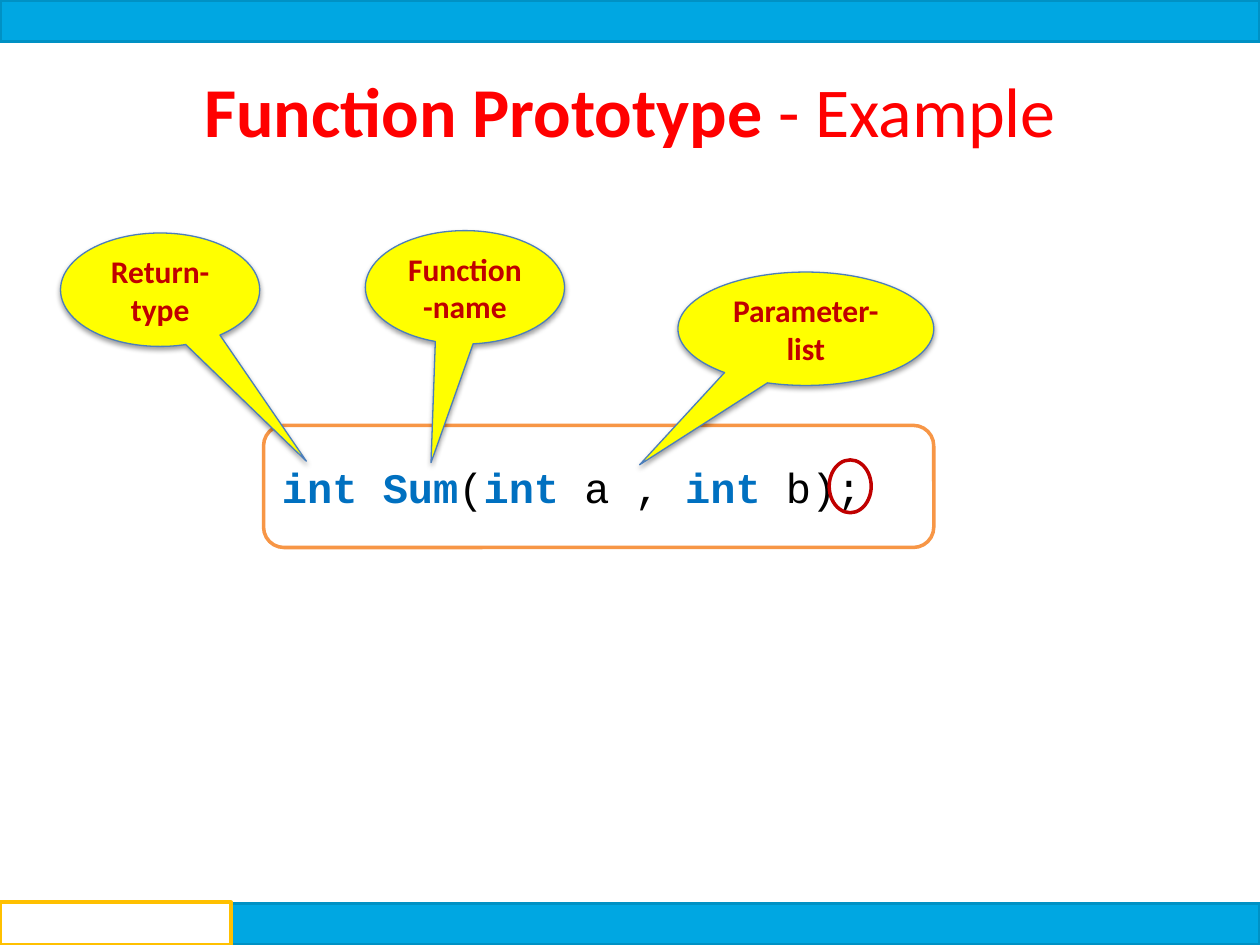
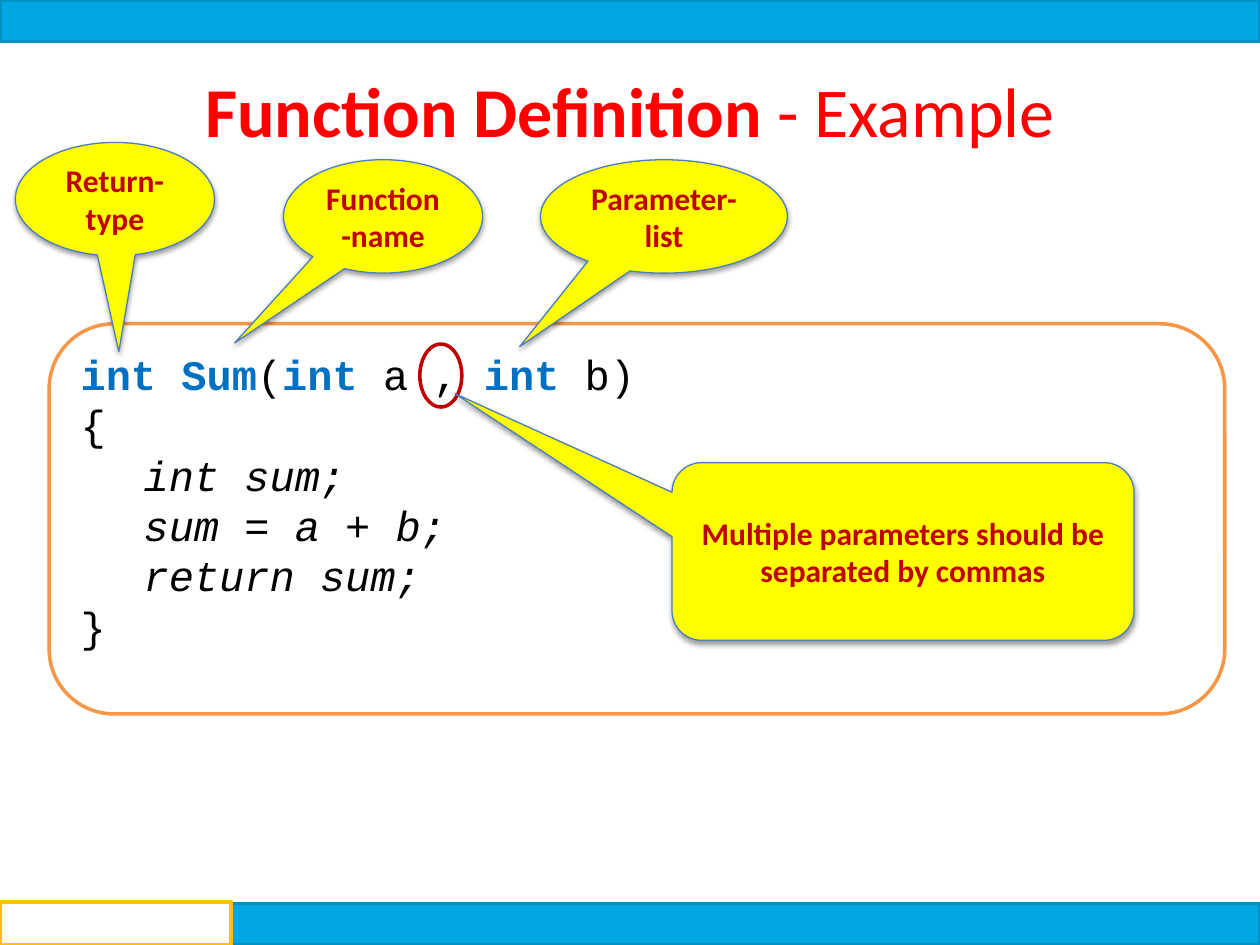
import pptx
import pptx.dml.color
import pptx.enum.shapes
import pptx.enum.text
import pptx.oxml
import pptx.oxml.ns
import pptx.util

Pt = pptx.util.Pt
RGBColor = pptx.dml.color.RGBColor
SHAPE = pptx.enum.shapes.MSO_SHAPE
ALIGN = pptx.enum.text.PP_ALIGN
ANCHOR = pptx.enum.text.MSO_ANCHOR

WHITE = RGBColor(0xFF, 0xFF, 0xFF)
BLACK = RGBColor(0x00, 0x00, 0x00)
RED = RGBColor(0xFF, 0x00, 0x00)
DARK_RED = RGBColor(0xC0, 0x00, 0x00)
YELLOW = RGBColor(0xFF, 0xFF, 0x00)
GOLD = RGBColor(0xFF, 0xC0, 0x00)
ORANGE = RGBColor(0xF7, 0x96, 0x46)
BAND_BLUE = RGBColor(0x00, 0xA7, 0xE2)
BAND_EDGE = RGBColor(0x00, 0x91, 0xC4)
CALLOUT_EDGE = RGBColor(0x4B, 0x7E, 0xBC)
KEYWORD_BLUE = RGBColor(0x00, 0x70, 0xC0)

PAGE_WIDTH, PAGE_HEIGHT = 720, 540
BAND_HEIGHT = 23.8
TITLE_BOX = (60, 35.3, 600, 55.4)
TEXT_FONT, CODE_FONT = "Calibri", "Courier New"
OVAL, ROUNDED = SHAPE.OVAL_CALLOUT, SHAPE.ROUNDED_RECTANGULAR_CALLOUT

# Code styles: (colour, bold, italic)
KEYWORD = (KEYWORD_BLUE, True, False)
PLAIN = (BLACK, False, False)
BODY = (BLACK, False, True)


def signature(ending):
    return [("int Sum", KEYWORD), ("(", PLAIN), ("int", KEYWORD),
            (" a , ", PLAIN), ("int", KEYWORD), (ending, PLAIN)]


# Boxes are (left, top, width, height); each callout ends with the point of its tail.
SLIDES = [
    {
        "title": "Function Prototype",
        "code_box": (150.6, 243.1, 383, 69.8),
        "code_bottom_inset": 3.6,
        "code": [signature(" b);")],
        "ring": (473.8, 262.8, 24, 30.2),
        "callouts": [
            (OVAL, "Return-type", (34.6, 133.2, 113.8, 64.8), (175.1, 263.6)),
            (OVAL, "Function-name", (208.8, 131.8, 113.8, 64.8), (246.3, 264.4)),
            (OVAL, "Parameter-list", (387.4, 155.5, 146.2, 64.8), (365.5, 265.6)),
        ],
    },
    {
        "title": "Function Definition",
        "code_box": (28.1, 185, 671.8, 223),
        "code_bottom_inset": 25.6,
        "code": [
            signature(" b)"),
            [("{", PLAIN)],
            [("\tint sum;", BODY)],
            [("\tsum = a + b;", BODY)],
            [("\treturn sum;", BODY)],
            [("}", PLAIN)],
        ],
        "ring": (239.9, 196.6, 24, 36),
        "callouts": [
            (OVAL, "Return-type", (8.8, 81.4, 113.8, 64.8), (67.9, 201)),
            (OVAL, "Function-name", (162, 91.3, 113.8, 64.8), (134.1, 196)),
            (OVAL, "Parameter-list", (308.9, 91.3, 141.1, 64.8), (297, 198.1)),
            (ROUNDED, "Multiple parameters should be separated by commas",
             (384, 264.4, 264, 101.5), (260, 225)),
        ],
    },
]


def add_span(para, text, font_name, size, color, bold, italic=False):
    span = para.add_run()
    span.text = text
    font = span.font
    font.name, font.size = font_name, Pt(size)
    font.bold, font.italic = bold, italic
    font.color.rgb = color


def add_figure(page, kind, box, fill, line, line_width):
    figure = page.shapes.add_shape(kind, *map(Pt, box))
    figure.shadow.inherit = False
    if fill is None:
        figure.fill.background()
    else:
        figure.fill.solid()
        figure.fill.fore_color.rgb = fill
    figure.line.color.rgb = line
    figure.line.width = Pt(line_width)
    return figure


def add_soft_shadow(figure):
    effects = figure._element.spPr.find(pptx.oxml.ns.qn("a:effectLst"))
    effects.append(pptx.oxml.parse_xml(
        f'<a:outerShdw {pptx.oxml.ns.nsdecls("a")} blurRad="{Pt(3.1)}" dist="{Pt(1.6)}" '
        'dir="5400000" rotWithShape="0"><a:srgbClr val="000000">'
        '<a:alpha val="38000"/></a:srgbClr></a:outerShdw>'))


def add_frame(page, title):
    """Add the bands, the footer box and the title that every slide has."""
    bottom = PAGE_HEIGHT - BAND_HEIGHT
    for top in (0, bottom):
        add_figure(page, SHAPE.RECTANGLE, (0, top, PAGE_WIDTH, BAND_HEIGHT),
                   BAND_BLUE, BAND_EDGE, 2)
    add_figure(page, SHAPE.RECTANGLE, (0, bottom - 0.6, 132, BAND_HEIGHT + 0.6),
               WHITE, GOLD, 2.25)
    frame = page.shapes.add_textbox(*map(Pt, TITLE_BOX)).text_frame
    frame.word_wrap = True
    para = frame.paragraphs[0]
    para.alignment = ALIGN.CENTER
    add_span(para, title, TEXT_FONT, 40, RED, True)
    add_span(para, " - Example", TEXT_FONT, 40, RED, False)


def add_code(page, box, lines, bottom_inset):
    frame = add_figure(page, SHAPE.ROUNDED_RECTANGLE, box, None, ORANGE, 2).text_frame
    frame.word_wrap = True
    frame.vertical_anchor = ANCHOR.MIDDLE
    frame.margin_bottom = Pt(bottom_inset)
    for index, line in enumerate(lines):
        para = frame.add_paragraph() if index else frame.paragraphs[0]
        para.alignment = ALIGN.LEFT
        for text, style in line:
            add_span(para, text, CODE_FONT, 24, *style)


def add_callout(page, kind, label, box, tip):
    callout = add_figure(page, kind, box, YELLOW, CALLOUT_EDGE, 0.75)
    add_soft_shadow(callout)
    left, top, width, height = box
    callout.adjustments[0] = (tip[0] - left) / width - 0.5
    callout.adjustments[1] = (tip[1] - top) / height - 0.5
    frame = callout.text_frame
    frame.word_wrap = True
    frame.vertical_anchor = ANCHOR.MIDDLE
    para = frame.paragraphs[0]
    para.alignment = ALIGN.CENTER
    add_span(para, label, TEXT_FONT, 18, DARK_RED, True)


def main():
    deck = pptx.Presentation()
    deck.slide_width, deck.slide_height = Pt(PAGE_WIDTH), Pt(PAGE_HEIGHT)
    for content in SLIDES:
        page = deck.slides.add_slide(deck.slide_layouts[6])
        add_code(page, content["code_box"], content["code"], content["code_bottom_inset"])
        add_frame(page, content["title"])
        add_figure(page, SHAPE.OVAL, content["ring"], None, DARK_RED, 2)
        for callout in content["callouts"]:
            add_callout(page, *callout)
    deck.save("out.pptx")


if __name__ == "__main__":
    main()
